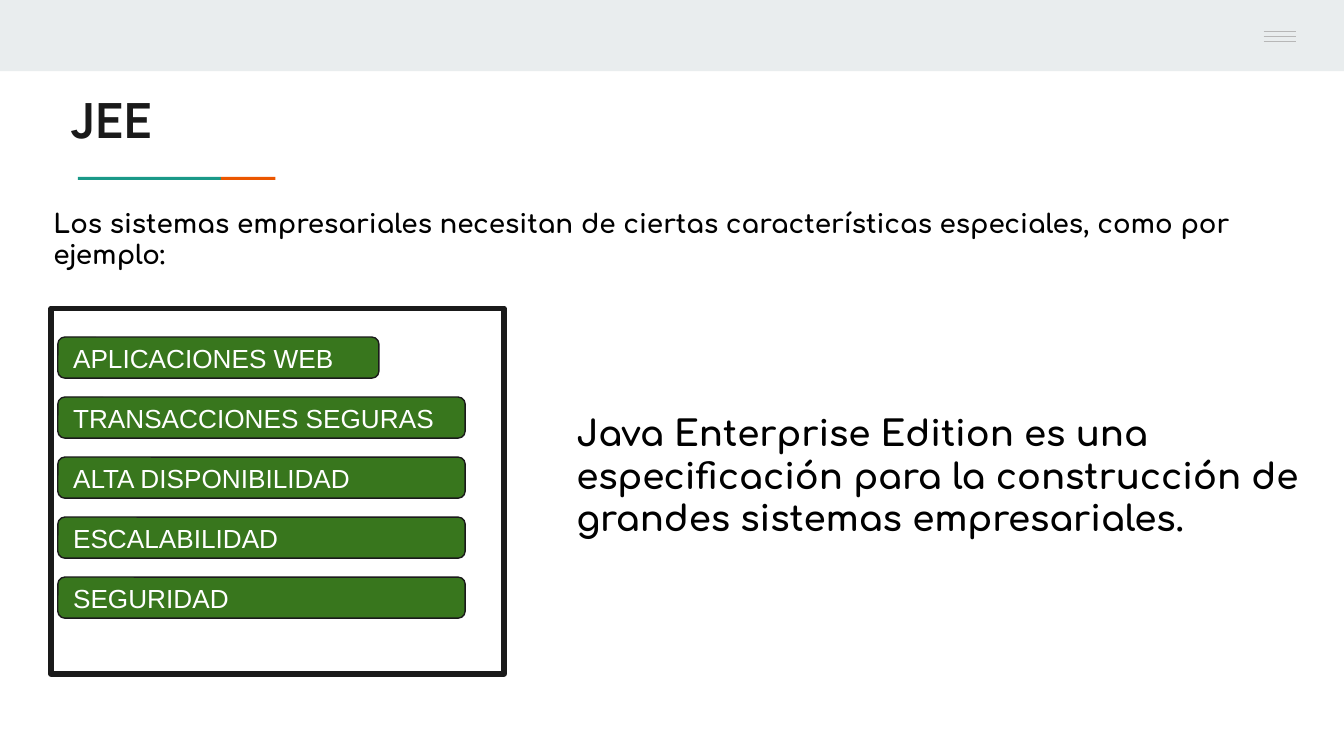
from dataclasses import dataclass
from typing import Optional

from lxml import etree
from pptx import Presentation
from pptx.dml.color import RGBColor
from pptx.enum import shapes, text
from pptx.oxml.ns import qn
from pptx.util import Pt


@dataclass(frozen=True)
class Theme:
    band: str = "E9EDEE"
    rule: str = "B7B7B7"
    teal: str = "1A9988"
    orange: str = "EB5600"
    ink: str = "1A1A1A"
    black: str = "000000"
    white: str = "FFFFFF"
    green: str = "38761D"
    title_size: float = 26
    statement_size: float = 19
    body_size: float = 14


@dataclass(frozen=True)
class Area:
    left: float
    top: float
    width: float
    height: float

    def lengths(self) -> list:
        return [Pt(v) for v in (self.left, self.top, self.width, self.height)]


@dataclass(frozen=True)
class Panel:
    area: Area
    fill: str
    outline: Optional[str] = None
    weight: float = 0.75
    rounding: Optional[float] = None


@dataclass(frozen=True)
class Label:
    words: str
    font: str
    size: float
    color: str
    bold: bool = False


THEME = Theme()
INSET = 7.2

PANELS = [
    Panel(Area(0, 0, 720, 38.2), THEME.band),
    Panel(Area(41.8, 94.8, 76.6, 1.6), THEME.teal),
    Panel(Area(118.4, 94.8, 29.2, 1.6), THEME.orange),
    Panel(Area(27.4, 165.2, 242.6, 195.8), THEME.white, THEME.ink, 3),
]
TEXTS = [
    (Area(31, 41, 605.5, 42.5),
     Label("JEE", "Manrope", THEME.title_size, THEME.ink, True)),
    (Area(301.7, 213.1, 403.2, 83.5),
     Label("Java Enterprise Edition es una especificación para la construcción "
           "de grandes sistemas empresariales.",
           "Comfortaa", THEME.statement_size, THEME.black, True)),
    (Area(21.6, 103.7, 676.8, 48.2),
     Label("Los sistemas empresariales necesitan de ciertas características "
           "especiales, como por ejemplo:",
           "Comfortaa", THEME.body_size, THEME.black, True)),
]
FEATURES = [
    ("APLICACIONES WEB", 172),
    ("TRANSACCIONES SEGURAS", 218.2),
    ("ALTA DISPONIBILIDAD", 218.2),
    ("ESCALABILIDAD", 218.2),
    ("SEGURIDAD", 218.2),
]
FEATURE_LEFT, FEATURE_TOP, FEATURE_HEIGHT, FEATURE_PITCH = 31, 180.6, 22, 32.15
MENU_LEFT, MENU_TOP, MENU_WIDTH, MENU_GAP = 677, 16.9, 17.3, 2.6


def draw_panel(page, panel: Panel):
    kinds = shapes.MSO_SHAPE
    kind = kinds.RECTANGLE if panel.rounding is None else kinds.ROUNDED_RECTANGLE
    box = page.shapes.add_shape(kind, *panel.area.lengths())
    box.shadow.inherit = False
    if panel.rounding is not None:
        box.adjustments[0] = panel.rounding
    box.fill.solid()
    box.fill.fore_color.rgb = RGBColor.from_string(panel.fill)
    if panel.outline:
        box.line.color.rgb = RGBColor.from_string(panel.outline)
        box.line.width = Pt(panel.weight)
    else:
        box.line.fill.background()
    return box


def write_label(box, label: Label, anchor) -> None:
    frame = box.text_frame
    settings = {"word_wrap": True, "vertical_anchor": anchor}
    for side in ("left", "top", "right", "bottom"):
        settings[f"margin_{side}"] = Pt(INSET)
    for name, value in settings.items():
        setattr(frame, name, value)
    para = frame.paragraphs[0]
    para.alignment = text.PP_ALIGN.LEFT
    span = para.add_run()
    span.text = label.words
    font_format = {"name": label.font, "size": Pt(label.size), "bold": label.bold}
    for name, value in font_format.items():
        setattr(span.font, name, value)
    span.font.color.rgb = RGBColor.from_string(label.color)


def draw_menu_line(page, top: float) -> None:
    line = page.shapes.add_connector(
        shapes.MSO_CONNECTOR.STRAIGHT,
        Pt(MENU_LEFT), Pt(top), Pt(MENU_LEFT + MENU_WIDTH), Pt(top))
    line.line.color.rgb = RGBColor.from_string(THEME.rule)
    line.line.width = Pt(0.75)
    etree.SubElement(line._element.spPr, qn("a:effectLst"))


def draw_feature(page, row: int, words: str, width: float) -> None:
    area = Area(FEATURE_LEFT, FEATURE_TOP + row * FEATURE_PITCH, width, FEATURE_HEIGHT)
    box = draw_panel(page, Panel(area, THEME.green, THEME.ink, rounding=0.17))
    write_label(box, Label(words, "Arial", THEME.body_size, THEME.white),
                text.MSO_ANCHOR.MIDDLE)


def main() -> None:
    deck = Presentation()
    deck.slide_width, deck.slide_height = Pt(720), Pt(405)
    page = deck.slides.add_slide(deck.slide_layouts[6])
    for panel in PANELS:
        draw_panel(page, panel)
    for row in range(3):
        draw_menu_line(page, MENU_TOP + row * MENU_GAP)
    for area, label in TEXTS:
        write_label(page.shapes.add_textbox(*area.lengths()), label,
                    text.MSO_ANCHOR.TOP)
    for row, (words, width) in enumerate(FEATURES):
        draw_feature(page, row, words, width)
    deck.save("out.pptx")


if __name__ == "__main__":
    main()
